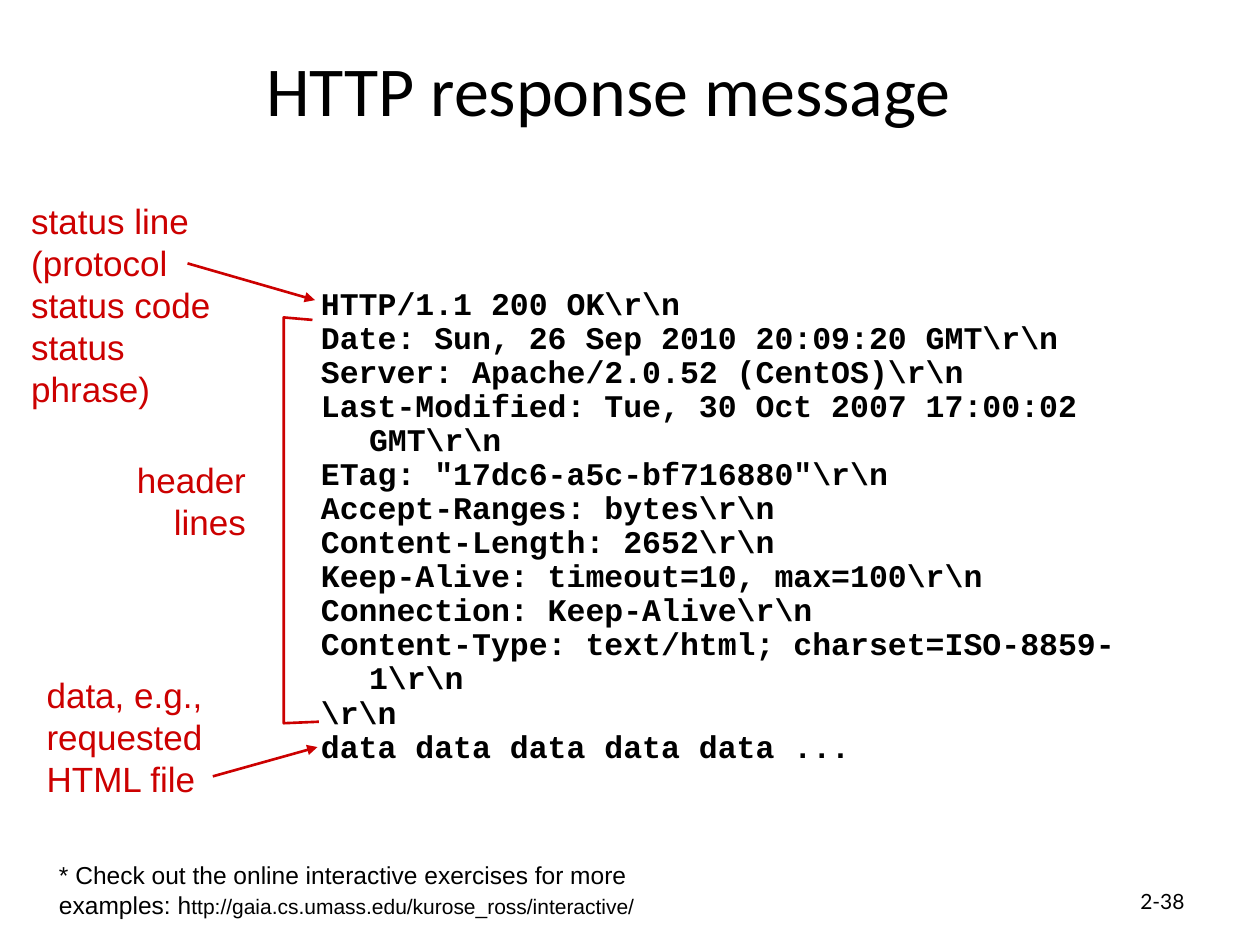
from dataclasses import dataclass

from lxml import etree
from pptx import Presentation
from pptx.dml.color import RGBColor
from pptx.enum.shapes import MSO_CONNECTOR
from pptx.enum.text import MSO_ANCHOR, PP_ALIGN
from pptx.oxml.ns import qn
from pptx.shapes.base import BaseShape
from pptx.slide import Slide
from pptx.text.text import _Paragraph as Paragraph
from pptx.util import Cm, Pt

LEFT, CENTER, RIGHT = PP_ALIGN.LEFT, PP_ALIGN.CENTER, PP_ALIGN.RIGHT
TOP, MIDDLE = MSO_ANCHOR.TOP, MSO_ANCHOR.MIDDLE
STRAIGHT = MSO_CONNECTOR.STRAIGHT

BLACK = "000000"
RED = "CC0000"
LINE_WIDTH = Pt(1.5)
HANGING_INDENT = Cm(0.97)

Point = tuple[float, float]


@dataclass(frozen=True)
class TextBlock:
    left: float
    top: float
    width: float
    height: float
    lines: tuple[str, ...]
    size: float
    font: str = "Arial"
    color: str = BLACK
    bold: bool = False
    align: PP_ALIGN = LEFT
    anchor: MSO_ANCHOR = TOP
    hanging: bool = False


@dataclass(frozen=True)
class Arrow:
    start: Point
    end: Point


TITLE = TextBlock(1.47, 0.43, 21.59, 2.72, ("HTTP response message",), 40,
                  font="Calibri", align=CENTER, anchor=MIDDLE)
SLIDE_NUMBER = TextBlock(18.21, 17.65, 5.92, 1.02, ("2-38",), 12,
                         font="Lato", align=RIGHT, anchor=MIDDLE)
STATUS_LABEL = TextBlock(
    0.38, 3.89, 4.57, 3.63,
    ("status line", "(protocol", "status code", "status phrase)"), 20, color=RED)
HEADER_LABEL = TextBlock(2.49, 9.12, 2.72, 1.96, ("header", "lines"), 20,
                         color=RED, align=RIGHT)
DATA_LABEL = TextBlock(0.69, 13.46, 3.84, 2.79,
                       ("data, e.g.,", "requested", "HTML file"), 20, color=RED)
RESPONSE = TextBlock(
    6.22, 5.69, 17.53, 9.88,
    (
        r"HTTP/1.1 200 OK\r\n",
        r"Date: Sun, 26 Sep 2010 20:09:20 GMT\r\n",
        r"Server: Apache/2.0.52 (CentOS)\r\n",
        r"Last-Modified: Tue, 30 Oct 2007 17:00:02 GMT\r\n",
        r'ETag: "17dc6-a5c-bf716880"\r\n',
        r"Accept-Ranges: bytes\r\n",
        r"Content-Length: 2652\r\n",
        r"Keep-Alive: timeout=10, max=100\r\n",
        r"Connection: Keep-Alive\r\n",
        r"Content-Type: text/html; charset=ISO-8859-1\r\n",
        r"\r\n",
        "data data data data data ...",
    ),
    18, font="Courier New", bold=True, hanging=True)
FOOTNOTE = TextBlock(
    0.94, 17.22, 12.52, 1.45,
    ("* Check out the online interactive exercises for more examples: h",), 14)
FOOTNOTE_ADDRESS = "ttp://gaia.cs.umass.edu/kurose_ross/interactive/"

STATUS_ARROW = Arrow((3.78, 5.31), (6.35, 6.05))
DATA_ARROW = Arrow((4.29, 15.65), (6.4, 15.06))
HEADER_BRACKET = ((6.3, 6.45), (5.72, 6.4), (5.72, 14.58), (6.43, 14.55))


def rgb(color: str) -> RGBColor:
    return RGBColor.from_string(color)


def style_line(shape: BaseShape) -> None:
    shape.line.color.rgb = rgb(RED)
    shape.line.width = LINE_WIDTH


def add_text(slide: Slide, block: TextBlock) -> Paragraph:
    shape = slide.shapes.add_textbox(
        Cm(block.left), Cm(block.top), Cm(block.width), Cm(block.height))
    frame = shape.text_frame
    frame.word_wrap = True
    frame.vertical_anchor = block.anchor
    frame.text = "\n".join(block.lines)
    for paragraph in frame.paragraphs:
        paragraph.alignment = block.align
        if block.hanging:
            paragraph.line_spacing = 0.9
            properties = paragraph._p.get_or_add_pPr()
            properties.set("marL", str(HANGING_INDENT))
            properties.set("indent", str(-HANGING_INDENT))
        paragraph.font.name = block.font
        paragraph.font.size = Pt(block.size)
        paragraph.font.bold = block.bold
        paragraph.font.color.rgb = rgb(block.color)
    return frame.paragraphs[-1]


def add_arrow(slide: Slide, arrow: Arrow) -> None:
    connector = slide.shapes.add_connector(
        STRAIGHT, *(Cm(value) for value in arrow.start + arrow.end))
    style_line(connector)
    etree.SubElement(connector.line._get_or_add_ln(), qn("a:tailEnd"), type="triangle")
    etree.SubElement(connector._element.spPr, qn("a:effectLst"))


def add_bracket(slide: Slide, points: tuple[Point, ...]) -> None:
    start, *rest = [(Cm(x), Cm(y)) for x, y in points]
    builder = slide.shapes.build_freeform(*start)
    builder.add_line_segments(rest, close=False)
    shape = builder.convert_to_shape()
    shape.fill.background()
    style_line(shape)
    shape.shadow.inherit = False


def main() -> None:
    presentation = Presentation()
    presentation.slide_width = Cm(25.4)
    presentation.slide_height = Cm(19.05)
    slide = presentation.slides.add_slide(presentation.slide_layouts[6])

    for block in (SLIDE_NUMBER, TITLE, STATUS_LABEL, HEADER_LABEL, DATA_LABEL, RESPONSE):
        add_text(slide, block)
    for arrow in (STATUS_ARROW, DATA_ARROW):
        add_arrow(slide, arrow)
    add_bracket(slide, HEADER_BRACKET)

    address = add_text(slide, FOOTNOTE).add_run()
    address.text = FOOTNOTE_ADDRESS
    address.font.size = Pt(12)

    presentation.save("out.pptx")


if __name__ == "__main__":
    main()
